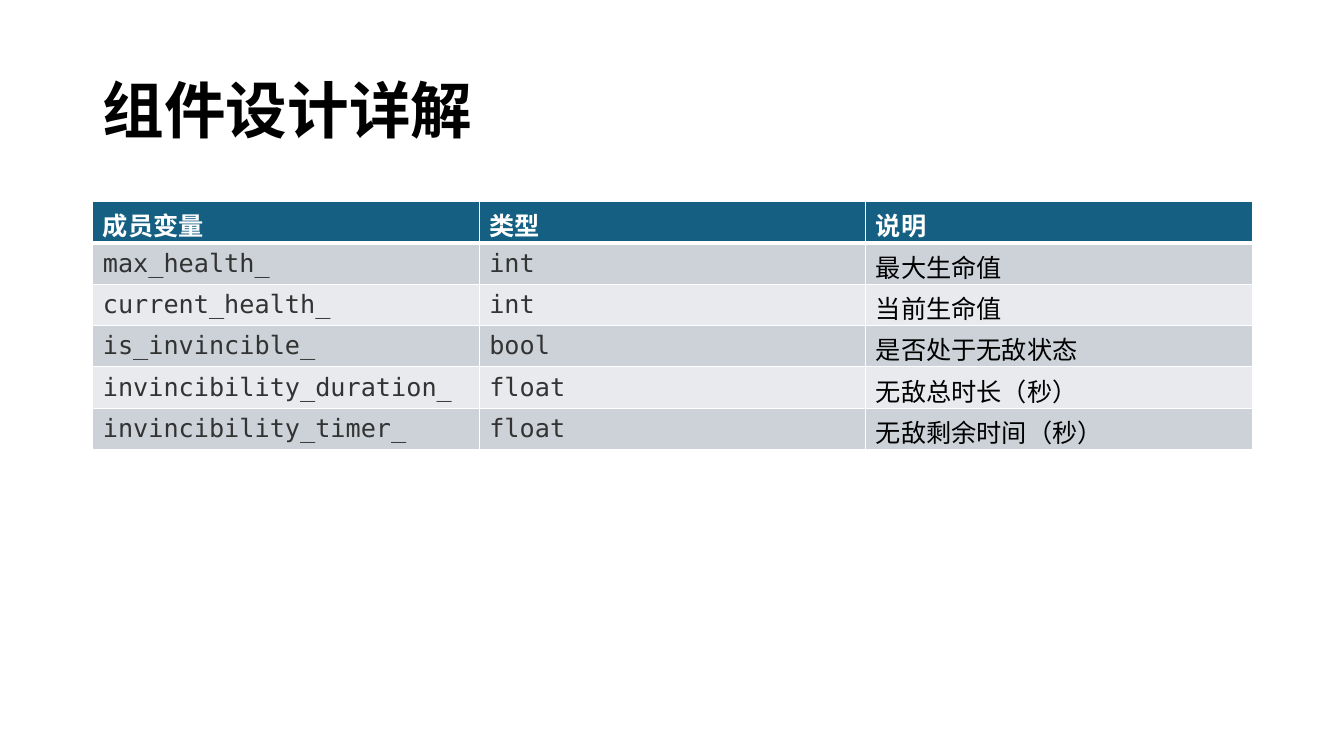
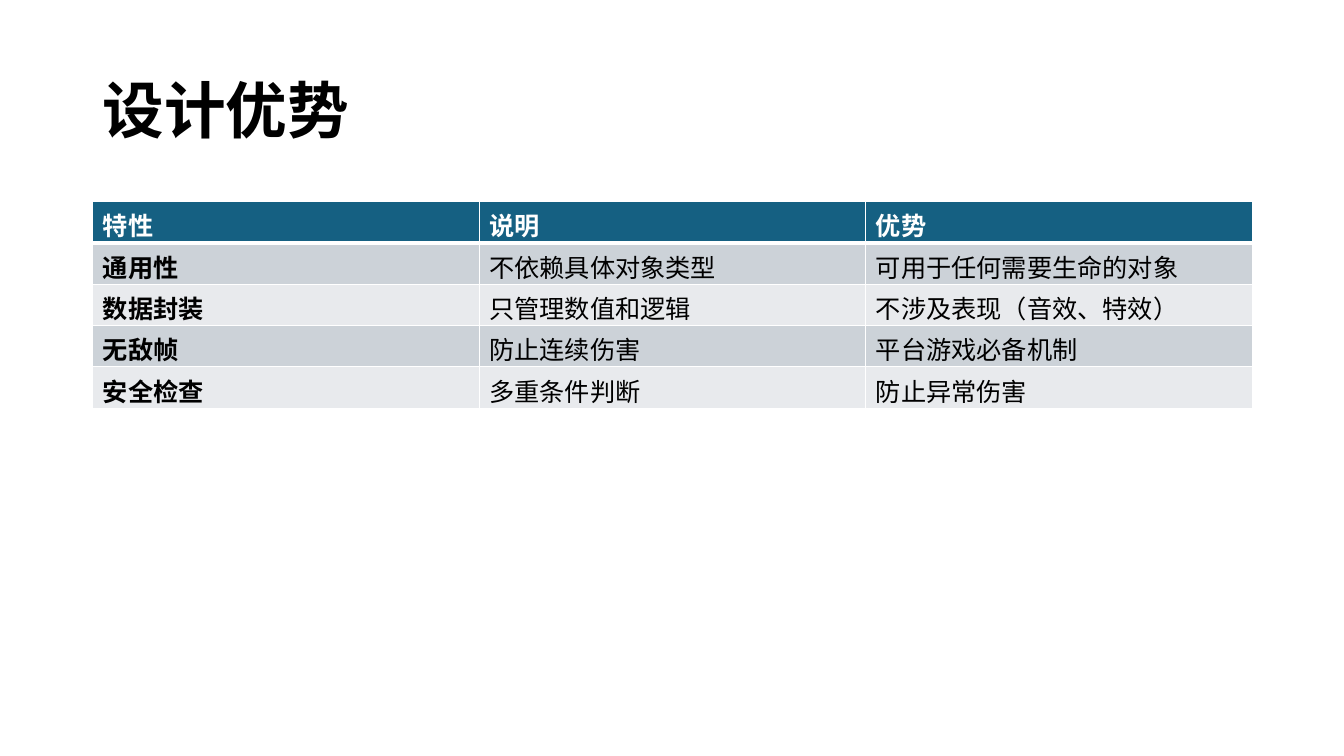
import lxml.etree
import pptx
import pptx.dml.color
import pptx.enum.text
import pptx.oxml.ns
import pptx.util

Inches = pptx.util.Inches
Pt = pptx.util.Pt

COLORS = {
    "title": "000000",
    "header": "156082",
    "header_text": "FFFFFF",
    "band_dark": "CCD2D8",
    "band_light": "E8EAED",
    "body_text": "000000",
    "code_text": "333333",
    "border": "FFFFFF",
}
BODY_FONT = "Karla"
CODE_FONT = "DejaVu Sans Mono"
TITLE_BOX = (0.92, 0.4, 11.5, 1.45)
TABLE_BOX = (0.92, 2, 11.5)
ROW_HEIGHT = 0.41

PAGES = [
    {
        "title": "组件设计详解",
        "column_styles": ("code", "code", "plain"),
        "rows": [
            ("成员变量", "类型", "说明"),
            ("max_health_", "int", "最大生命值"),
            ("current_health_", "int", "当前生命值"),
            ("is_invincible_", "bool", "是否处于无敌状态"),
            ("invincibility_duration_", "float", "无敌总时长（秒）"),
            ("invincibility_timer_", "float", "无敌剩余时间（秒）"),
        ],
    },
    {
        "title": "设计优势",
        "column_styles": ("strong", "plain", "plain"),
        "rows": [
            ("特性", "说明", "优势"),
            ("通用性", "不依赖具体对象类型", "可用于任何需要生命的对象"),
            ("数据封装", "只管理数值和逻辑", "不涉及表现（音效、特效）"),
            ("无敌帧", "防止连续伤害", "平台游戏必备机制"),
            ("安全检查", "多重条件判断", "防止异常伤害"),
        ],
    },
]

TEXT_STYLES = {
    "title": (BODY_FONT, 44, True, "title"),
    "header": (BODY_FONT, 18, True, "header_text"),
    "strong": (BODY_FONT, 18, True, "body_text"),
    "plain": (BODY_FONT, 18, False, "body_text"),
    "code": (CODE_FONT, 18, False, "code_text"),
}


def color(name):
    return pptx.dml.color.RGBColor.from_string(COLORS[name])


def write_text(frame, text, style):
    para = frame.paragraphs[0]
    para.text = text
    name, size, bold, color_name = TEXT_STYLES[style]
    para.font.name = name
    para.font.size = Pt(size)
    para.font.bold = bold
    para.font.color.rgb = color(color_name)
    return para


def set_borders(cell, top, bottom):
    properties = cell._tc.get_or_add_tcPr()
    qn = pptx.oxml.ns.qn
    widths = {"a:lnL": 1, "a:lnR": 1, "a:lnT": top, "a:lnB": bottom}
    for position, (tag, width) in enumerate(widths.items()):
        line = lxml.etree.Element(qn(tag), w=str(int(Pt(width))))
        fill = lxml.etree.SubElement(line, qn("a:solidFill"))
        lxml.etree.SubElement(fill, qn("a:srgbClr"), val=COLORS["border"])
        properties.insert(position, line)


def add_title(page, box, text):
    frame = page.shapes.add_textbox(*map(Inches, box)).text_frame
    frame.word_wrap = True
    frame.vertical_anchor = pptx.enum.text.MSO_ANCHOR.MIDDLE
    write_text(frame, text, "title").line_spacing = 0.9


def add_grid(page, box, rows, column_styles):
    left, top, width = box
    table = page.shapes.add_table(
        len(rows), len(column_styles), Inches(left), Inches(top),
        Inches(width), Inches(ROW_HEIGHT * len(rows)),
    ).table
    table.horz_banding = False
    for column in table.columns:
        column.width = Inches(width / len(column_styles))
    for row_index, texts in enumerate(rows):
        table.rows[row_index].height = Inches(ROW_HEIGHT)
        is_header = row_index == 0
        band = "band_dark" if row_index % 2 else "band_light"
        for column_index, text in enumerate(texts):
            cell = table.cell(row_index, column_index)
            cell.vertical_anchor = pptx.enum.text.MSO_ANCHOR.MIDDLE
            cell.fill.solid()
            cell.fill.fore_color.rgb = color("header" if is_header else band)
            set_borders(cell, 3 if row_index == 1 else 1, 3 if is_header else 1)
            style = "header" if is_header else column_styles[column_index]
            write_text(cell.text_frame, text, style)


def main():
    deck = pptx.Presentation()
    deck.slide_width = Inches(13.33)
    deck.slide_height = Inches(7.5)
    for content in PAGES:
        page = deck.slides.add_slide(deck.slide_layouts[6])
        add_title(page, TITLE_BOX, content["title"])
        add_grid(page, TABLE_BOX, content["rows"], content["column_styles"])
    deck.save("out.pptx")


if __name__ == "__main__":
    main()
